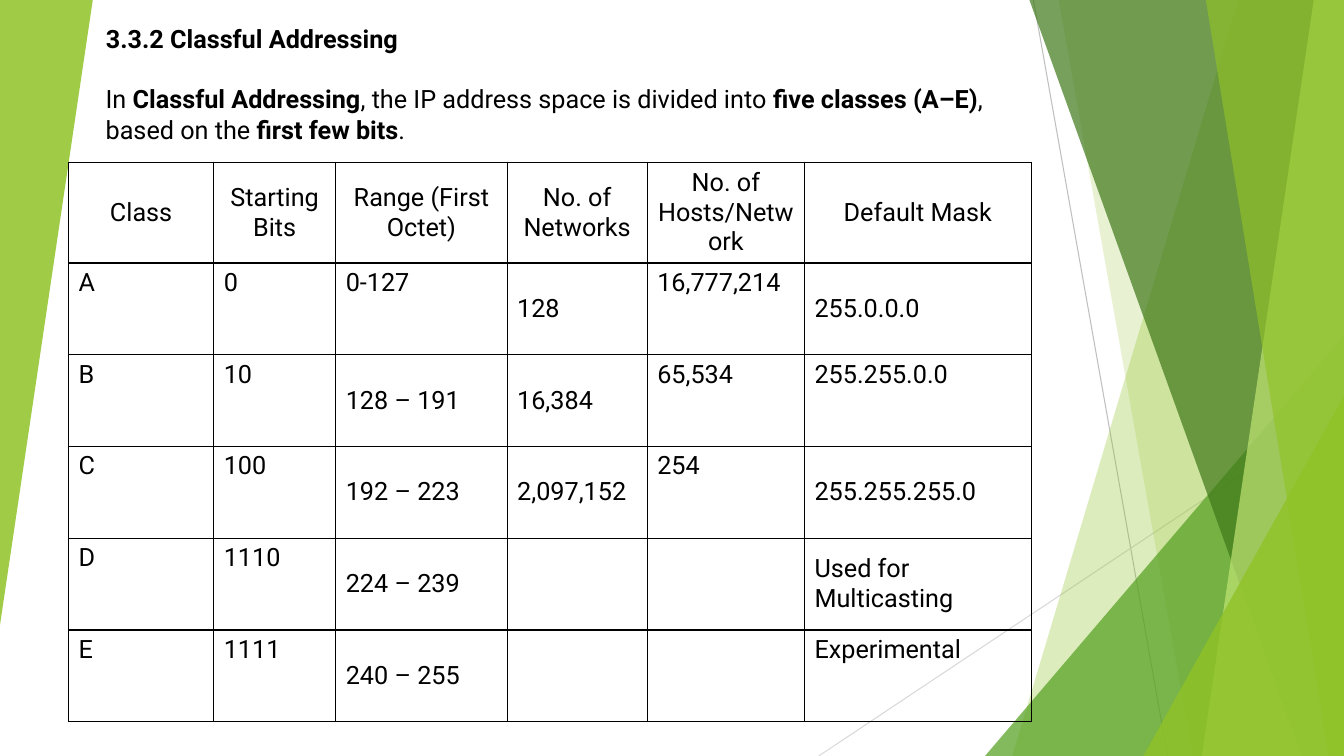
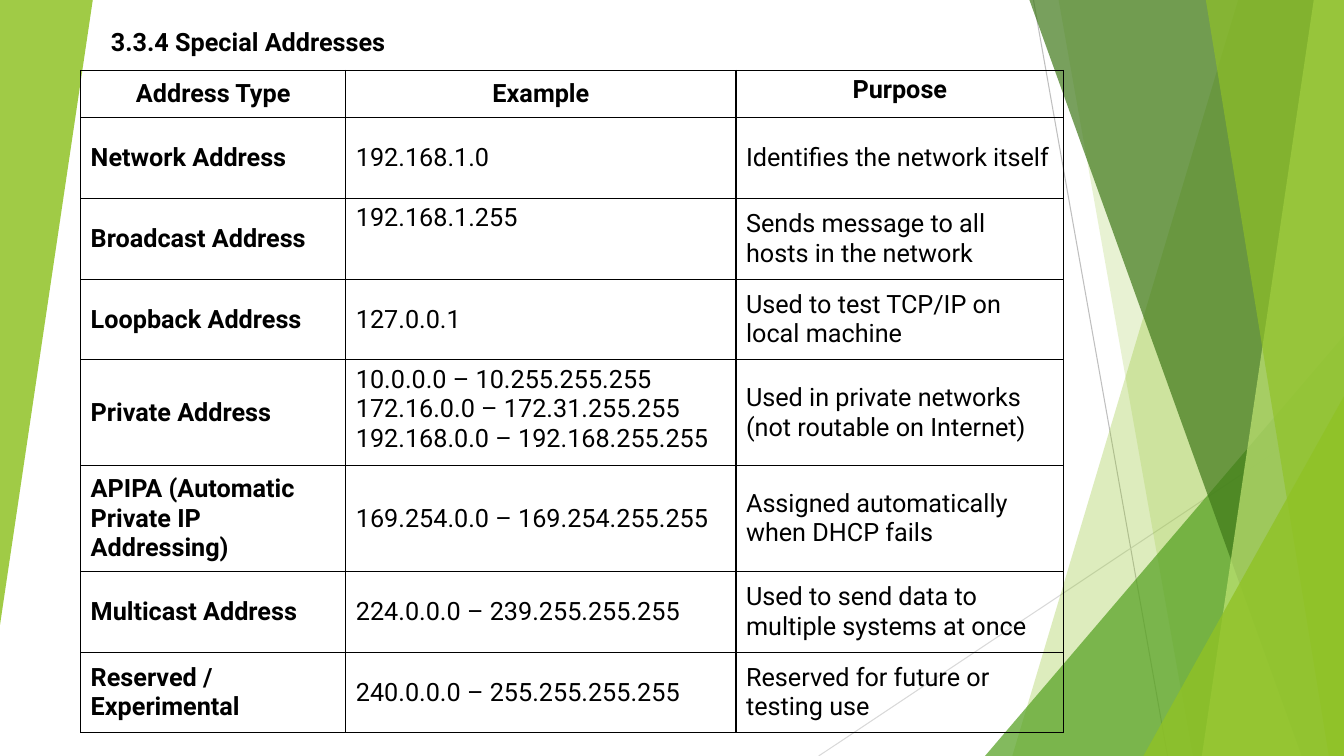
from lxml.etree import SubElement
from pptx import Presentation
from pptx.dml.color import RGBColor as RGB
from pptx.enum.shapes import MSO_CONNECTOR as CONN, MSO_SHAPE as SHAPE
from pptx.enum.text import MSO_ANCHOR as ANCHOR, MSO_AUTO_SIZE as AUTOSIZE, PP_ALIGN as ALIGN
from pptx.oxml.ns import qn
from pptx.util import Inches, Pt

WIDTH, HEIGHT = 13.33, 7.5
COLORS = {
    "text": "000000",
    "border": "000000",
    "line_dark": "BFBFBF",
    "line_light": "D9D9D9",
    "lime": "90C226",
    "green": "54A021",
    "forest": "3F7819",
    "pale": "C0E474",
}
FONT = {"name": "Roboto", "size": Pt(18)}


def color(name):
    return RGB.from_string(COLORS[name])


class Deck:
    """Holds the shared style and the slide being built."""

    def __init__(self):
        self.prs = Presentation()
        self.prs.slide_width = Inches(WIDTH)
        self.prs.slide_height = Inches(HEIGHT)
        self.s = None

    def slide(self, title, left, top, width):
        self.s = self.prs.slides.add_slide(self.prs.slide_layouts[5])
        self.backdrop()
        sp = self.s.shapes.title
        self.place(sp, left, top, width, 0.4)
        self.frame(sp.text_frame)
        self.add_runs(sp.text_frame.paragraphs[0], ["", title])

    # Shared green facets and thin lines
    def backdrop(self):
        self.line((10.25, 0), (11.58, HEIGHT), "line_dark")
        self.line((WIDTH, 4.03), (8.12, HEIGHT), "line_light")
        self.facet(12.28, 10.04, "lime", 30)
        self.facet(10.5, 11.83, "lime", 20)
        self.triangle(9.77, 3.33, 3.56, 4.17, "green", 72)
        self.facet(10.21, 12.91, "forest", 70)
        self.facet(13.03, 11.92, "pale", 70)
        self.facet(11.96, 13.18, "lime", 65)
        self.triangle(11.34, 3.93, 1.99, 3.57, "lime", 80)
        self.triangle(0, 0, 0.92, 6.2, "lime", 85, rotation=180)

    def line(self, start, end, name):
        points = [Inches(v) for v in (*start, *end)]
        cx = self.s.shapes.add_connector(CONN.STRAIGHT, *points)
        cx.line.color.rgb = color(name)
        cx.line.width = Pt(0.75)
        SubElement(cx.element.spPr, qn("a:effectLst"))

    def facet(self, top_x, bottom_x, name, opacity):
        """Fill from a slanted left edge to the right side of the slide."""
        corners = [(WIDTH, 0), (WIDTH, HEIGHT), (bottom_x, HEIGHT)]
        ff = self.s.shapes.build_freeform(Inches(top_x), 0)
        ff.add_line_segments([(Inches(x), Inches(y)) for x, y in corners])
        self.paint(ff.convert_to_shape(), name, opacity)

    def triangle(self, left, top, width, height, name, opacity, rotation=0):
        box = [Inches(v) for v in (left, top, width, height)]
        sp = self.s.shapes.add_shape(SHAPE.ISOSCELES_TRIANGLE, *box)
        sp.adjustments[0] = 1
        sp.rotation = rotation
        self.paint(sp, name, opacity)

    def paint(self, sp, name, opacity):
        sp.shadow.inherit = False
        sp.fill.solid()
        sp.fill.fore_color.rgb = color(name)
        rgb = sp.element.spPr.find(f".//{qn('a:srgbClr')}")
        SubElement(rgb, qn("a:alpha"), val=str(opacity * 1000))
        sp.line.fill.background()

    # Text
    def place(self, sp, *box):
        for key, value in zip(("left", "top", "width", "height"), box):
            setattr(sp, key, Inches(value))

    def frame(self, tf):
        style = {"word_wrap": True, "auto_size": AUTOSIZE.NONE, "vertical_anchor": ANCHOR.TOP}
        for key, value in style.items():
            setattr(tf, key, value)

    def add_runs(self, p, parts, align=ALIGN.LEFT):
        """Add runs that alternate between regular and bold."""
        p.alignment = align
        for i, part in enumerate(parts):
            if not part:
                continue
            for n, text in enumerate(part.split("\n")):
                if n:
                    p.add_line_break()
                r = p.add_run()
                r.text = text
                for key, value in {**FONT, "bold": i % 2 == 1}.items():
                    setattr(r.font, key, value)
                r.font.color.rgb = color("text")

    def text(self, parts, *box):
        sp = self.s.shapes.add_textbox(*[Inches(v) for v in box])
        self.frame(sp.text_frame)
        self.add_runs(sp.text_frame.paragraphs[0], parts)

    # Tables
    def table(self, rows, left, top, widths, heights, top_cells, bold_heads=False):
        box = [Inches(v) for v in (left, top, sum(widths), sum(heights))]
        table = self.s.shapes.add_table(len(rows), len(widths), *box).table
        table.first_row = table.horz_banding = False
        for col, width in zip(table.columns, widths):
            col.width = Inches(width)
        for row, height in zip(table.rows, heights):
            row.height = Inches(height)
        for i, row in enumerate(rows):
            for j, text in enumerate(row):
                cell = table.cell(i, j)
                self.border(cell)
                cell.fill.background()
                cell.vertical_anchor = ANCHOR.TOP if (i, j) in top_cells else ANCHOR.MIDDLE
                bold = bold_heads and (i == 0 or j == 0)
                self.add_runs(cell.text_frame.paragraphs[0], ["", text] if bold else [text],
                              ALIGN.LEFT if i else ALIGN.CENTER)

    def border(self, cell):
        tcPr = cell._tc.get_or_add_tcPr()
        for side in ("L", "R", "T", "B"):
            ln = SubElement(tcPr, qn(f"a:ln{side}"), w=str(Pt(1)))
            fill = SubElement(ln, qn("a:solidFill"))
            SubElement(fill, qn("a:srgbClr"), val=COLORS["border"])


CLASSES = [
    ["Class", "Starting Bits", "Range (First Octet)", "No. of Networks",
     "No. of Hosts/Network", "Default Mask"],
    ["A", "0", "0-127", "128", "16,777,214", "255.0.0.0"],
    ["B", "10", "128 – 191", "16,384", "65,534", "255.255.0.0"],
    ["C", "100", "192 – 223", "2,097,152", "254", "255.255.255.0"],
    ["D", "1110", "224 – 239", "", "", "Used for Multicasting"],
    ["E", "1111", "240 – 255", "", "", "Experimental"],
]
SPECIAL = [
    ["Address Type", "Example", "Purpose"],
    ["Network Address", "192.168.1.0", "Identifies the network itself"],
    ["Broadcast Address", "192.168.1.255", "Sends message to all hosts in the network"],
    ["Loopback Address", "127.0.0.1", "Used to test TCP/IP on local machine"],
    ["Private Address",
     "10.0.0.0 – 10.255.255.255\n172.16.0.0 – 172.31.255.255\n192.168.0.0 – 192.168.255.255",
     "Used in private networks (not routable on Internet)"],
    ["APIPA (Automatic Private IP Addressing)", "169.254.0.0 – 169.254.255.255",
     "Assigned automatically when DHCP fails"],
    ["Multicast Address", "224.0.0.0 – 239.255.255.255",
     "Used to send data to multiple systems at once"],
    ["Reserved / Experimental", "240.0.0.0 – 255.255.255.255",
     "Reserved for future or testing use"],
]


def main():
    deck = Deck()

    # Classful addressing
    deck.slide("3.3.2 Classful Addressing", 0.95, 0.18, 9.46)
    deck.text(["In ", "Classful Addressing", ", the IP address space is divided into ",
               "five classes (A–E)", ", based on the ", "first few bits", "."],
              0.95, 0.78, 9.46, 0.71)
    top_cells = {(i, j) for i in range(1, 6) for j in (0, 1, 4)} | {(1, 2), (2, 5), (5, 5)}
    deck.table(CLASSES, 0.68, 1.61, [1.44, 1.21, 1.7, 1.39, 1.56, 2.25],
               [1] + [0.91] * 5, top_cells)

    # Special addresses
    deck.slide("3.3.4 Special Addresses", 1, 0.21, 9.11)
    deck.table(SPECIAL, 0.8, 0.7, [2.63, 3.87, 3.25],
               [0.47] + [0.8] * 3 + [1.05] * 2 + [0.8] * 2,
               {(0, 2), (2, 1), (4, 1)}, bold_heads=True)

    deck.prs.save("out.pptx")


if __name__ == "__main__":
    main()
